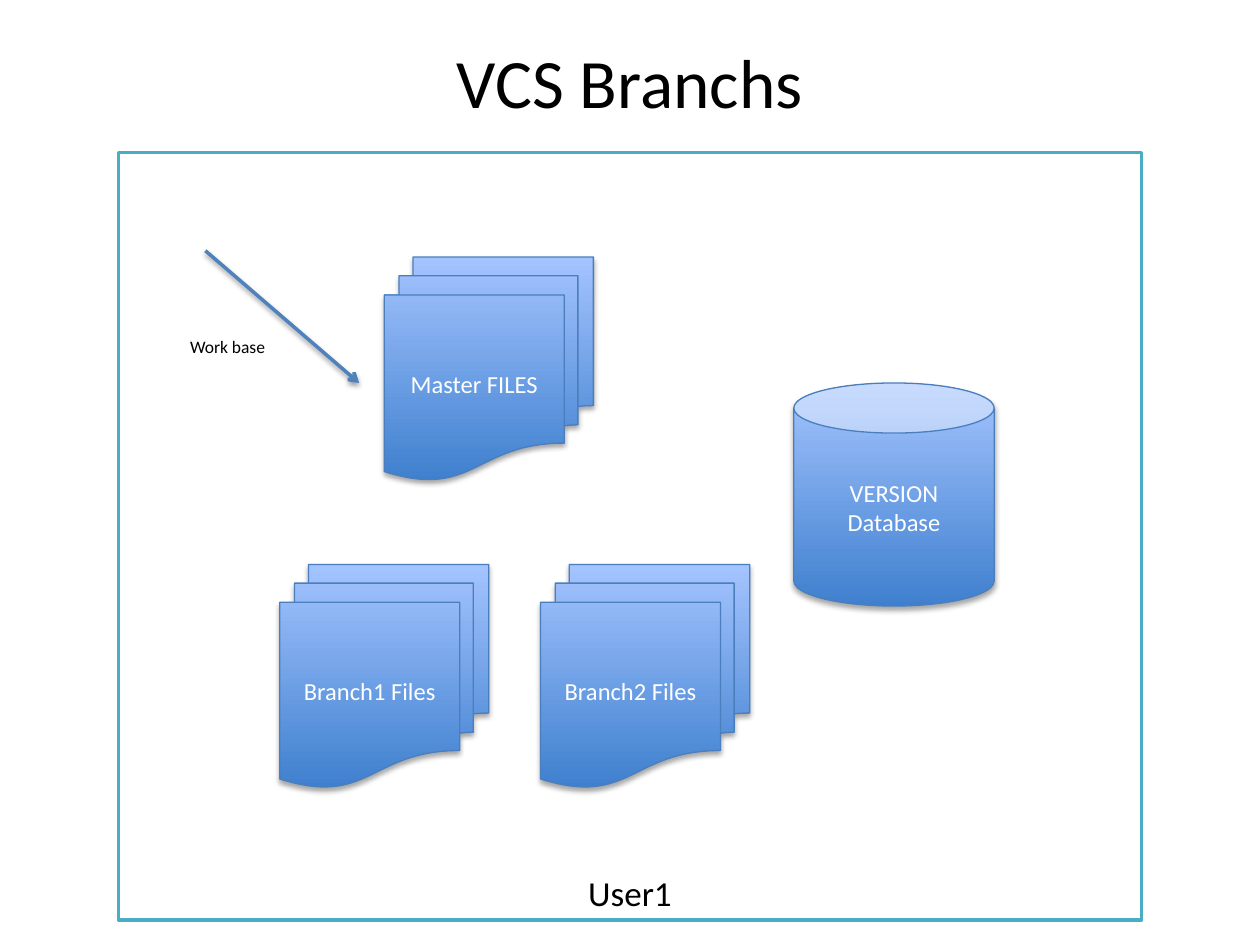
from lxml import etree
from pptx import Presentation
from pptx.dml.color import RGBColor
from pptx.enum.dml import MSO_LINE
from pptx.enum.shapes import MSO_CONNECTOR, MSO_SHAPE
from pptx.enum.text import MSO_ANCHOR, MSO_AUTO_SIZE, PP_ALIGN
from pptx.oxml.ns import qn
from pptx.util import Inches, Pt

SOLID = MSO_LINE.SOLID
STRAIGHT = MSO_CONNECTOR.STRAIGHT
RECTANGLE, CAN = MSO_SHAPE.RECTANGLE, MSO_SHAPE.CAN
MULTIDOCUMENT = MSO_SHAPE.FLOWCHART_MULTIDOCUMENT
TOP, MIDDLE, BOTTOM = MSO_ANCHOR.TOP, MSO_ANCHOR.MIDDLE, MSO_ANCHOR.BOTTOM
LEFT, CENTER = PP_ALIGN.LEFT, PP_ALIGN.CENTER
FIT_SHAPE = MSO_AUTO_SIZE.SHAPE_TO_FIT_TEXT

BLACK = RGBColor(0x00, 0x00, 0x00)
WHITE = RGBColor(0xFF, 0xFF, 0xFF)
TEAL = RGBColor(0x4B, 0xAC, 0xC6)
DEEP_BLUE = RGBColor(0x3F, 0x80, 0xCE)
PALE_BLUE = RGBColor(0xA4, 0xC4, 0xFF)
EDGE_BLUE = RGBColor(0x4B, 0x7E, 0xBC)
ARROW_BLUE = RGBColor(0x4F, 0x81, 0xBD)


def write(shape, text, size, color=BLACK, align=CENTER, anchor=MIDDLE, wrap=True):
    frame = shape.text_frame
    frame.word_wrap = wrap
    frame.vertical_anchor = anchor
    paragraph = frame.paragraphs[0]
    paragraph.alignment = align
    run = paragraph.add_run()
    run.text = text
    run.font.name = "Calibri"
    run.font.size = Pt(size)
    run.font.color.rgb = color


def add_shadow(shape, distance, opacity):
    """Give a shape or connector a soft black shadow that falls straight down."""
    properties = shape._element.spPr
    for effects in properties.findall(qn("a:effectLst")):
        properties.remove(effects)
    effects = etree.SubElement(properties, qn("a:effectLst"))
    shadow = etree.SubElement(
        effects, qn("a:outerShdw"), blurRad=str(Pt(3.1)), dist=str(Pt(distance)),
        dir="5400000", rotWithShape="0")
    black = etree.SubElement(shadow, qn("a:srgbClr"), val="000000")
    etree.SubElement(black, qn("a:alpha"), val=str(opacity * 1000))


presentation = Presentation()
presentation.slide_width = Inches(10)
presentation.slide_height = Inches(7.5)
slide = presentation.slides.add_slide(presentation.slide_layouts[5])

title = slide.shapes.title
title.left, title.top = Inches(0.5), Inches(0.3)
title.width, title.height = Inches(9), Inches(0.69)
write(title, "VCS Branchs", 39.6)

user_area = slide.shapes.add_shape(
    RECTANGLE, Inches(0.94), Inches(1.21), Inches(8.12), Inches(6.09))
user_area.shadow.inherit = False
user_area.fill.solid()
user_area.fill.fore_color.rgb = WHITE
user_area.line.color.rgb = TEAL
user_area.line.width = Pt(2)
write(user_area, "User1", 20, anchor=BOTTOM)

stores = [
    ("VERSION Database", CAN, 6.3, 3.04, 1.59),
    ("Master FILES", MULTIDOCUMENT, 3.05, 2.04, 1.66),
    ("Branch1 Files", MULTIDOCUMENT, 2.22, 4.48, 1.66),
    ("Branch2 Files", MULTIDOCUMENT, 4.29, 4.48, 1.66),
]
for label, kind, left, top, width in stores:
    store = slide.shapes.add_shape(
        kind, Inches(left), Inches(top), Inches(width), Inches(1.77))
    store.fill.gradient()
    store.fill.gradient_angle = 90
    for stop, color in zip(store.fill.gradient_stops, (DEEP_BLUE, PALE_BLUE)):
        stop.color.rgb = color
    store.line.color.rgb = EDGE_BLUE
    store.line.width = Pt(0.75)
    add_shadow(store, distance=1.8, opacity=35)
    write(store, label, 14, color=WHITE)

work_arrow = slide.shapes.add_connector(
    STRAIGHT, Inches(1.63), Inches(1.99), Inches(2.85), Inches(3.04))
work_arrow.line.color.rgb = ARROW_BLUE
work_arrow.line.width = Pt(2)
work_arrow.line.dash_style = SOLID
etree.SubElement(work_arrow.line._get_or_add_ln(), qn("a:tailEnd"), type="arrow")
add_shadow(work_arrow, distance=1.6, opacity=38)

work_label = slide.shapes.add_textbox(
    Inches(1.41), Inches(2.62), Inches(0.81), Inches(0.27))
write(work_label, "Work base", 10, align=LEFT, anchor=TOP, wrap=False)
work_label.text_frame.auto_size = FIT_SHAPE

presentation.save("out.pptx")
